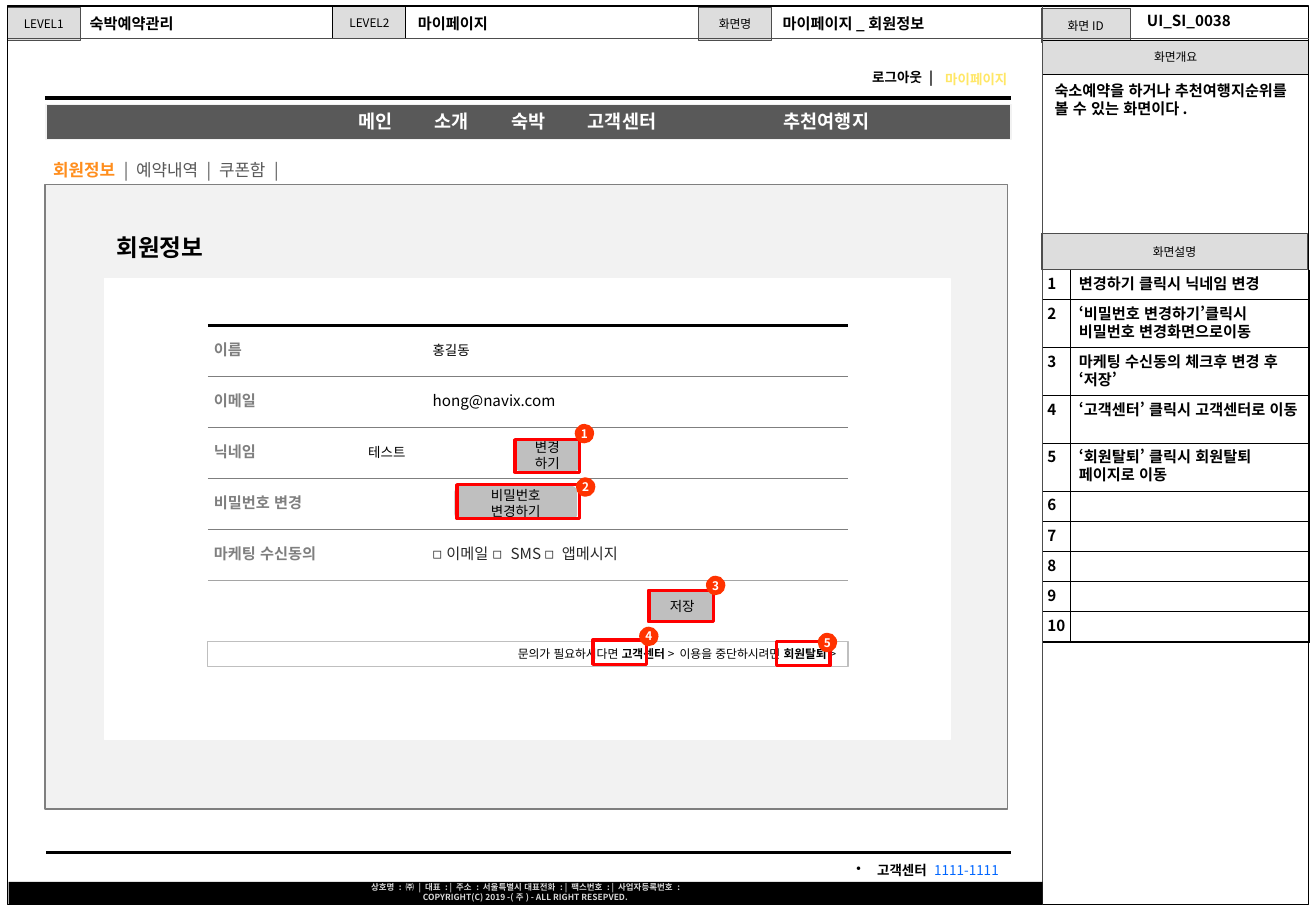
import pptx
import pptx.dml.color
import pptx.enum.lang
import pptx.enum.shapes
import pptx.enum.text
import pptx.oxml
import pptx.oxml.ns
import pptx.util
from lxml import etree

Inches, Pt = pptx.util.Inches, pptx.util.Pt
RGB = pptx.dml.color.RGBColor
KIND = pptx.enum.shapes.MSO_SHAPE
ALIGN = pptx.enum.text.PP_ALIGN
ANCHOR = pptx.enum.text.MSO_ANCHOR
qn = pptx.oxml.ns.qn

FONT = "Noto Sans CJK KR"
LINE_HEIGHT = 1.18
BLACK, WHITE = RGB(0, 0, 0), RGB(255, 255, 255)
LABEL_GRAY, FRAME_GRAY = RGB(0xDD, 0xDD, 0xDD), RGB(0x4D, 0x4D, 0x4D)
MENU_GRAY, PANEL_GRAY = RGB(0x59, 0x59, 0x59), RGB(0xF2, 0xF2, 0xF2)
MID_GRAY, BUTTON_GRAY = RGB(0x7F, 0x7F, 0x7F), RGB(0xBF, 0xBF, 0xBF)
PALE_GRAY, FOOTER_GRAY = RGB(0xA5, 0xA5, 0xA5), RGB(0xD8, 0xD8, 0xD8)
CHECK_GRAY, YELLOW = RGB(0x29, 0x29, 0x29), RGB(0xFF, 0xE7, 0x66)
ORANGE, BLUE = RGB(0xFF, 0x8E, 0x1D), RGB(0, 0x66, 0xFF)
RED, MARKER = RGB(255, 0, 0), RGB(0xFF, 0x33, 0)

# Content: a run is (text, size, colour, bold); a box is (left, top, width, height)
SCREEN_NAME = ("마이페이지_회원정보", (6.34, 0.07, 1.52, 0.25))
FIELD_LABELS = [
    ("LEVEL1", (0.06, 0.06, 0.6, 0.27), FRAME_GRAY),
    ("LEVEL2", (2.74, 0.05, 0.6, 0.27), BLACK),
    ("화면명", (5.75, 0.06, 0.6, 0.27), FRAME_GRAY),
    ("화면ID", (8.57, 0.07, 0.73, 0.28), FRAME_GRAY),
    ("화면개요", (8.58, 0.33, 2.19, 0.28), BLACK),
    ("화면설명", (8.57, 1.92, 2.19, 0.3), FRAME_GRAY),
]
FIELD_VALUES = [
    ("숙박예약관리", (0.64, 0.07, 1.31, 0.25)),
    ("마이페이지", (3.34, 0.07, 1.67, 0.25)),
    ("UI_SI_0038", (9.34, 0.05, 1.31, 0.25)),
    ("숙소예약을 하거나 추천여행지순위를 볼 수 있는 화면이다.", (8.58, 0.62, 2.2, 0.56)),
]
RULES = [  # start, end, colour, width
    ((8.58, 0.05), (8.58, 7.45), FRAME_GRAY, 0.75),
    ((0.07, 0.32), (10.77, 0.32), FRAME_GRAY, 0.5),
    ((0.37, 0.81), (8.32, 0.81), BLACK, 2.25),
    ((0.38, 7.02), (8.32, 7.02), BLACK, 2),
]
MENU = ["메인", "소개", "숙박", "고객센터"]
MENU_START, MENU_STEP = 2.47, 0.63
COPYRIGHT = [
    "상호명 : ㈜ | 대표 : | 주소 : 서울특별시 대표전화 : | 팩스번호 : | 사업자등록번호 :",
    "COPYRIGHT(C) 2019 -(주) - ALL RIGHT RESEPVED.",
]
SUBMENU = [("회원정보", 10, ORANGE, True),
           (" | 예약내역 | 쿠폰함 |", 10, MENU_GRAY, False)]
HELP = [("문의가 필요하시다면 ", 7, BLACK, False), ("고객센터", 7, BLACK, True),
        ("> 이용을 중단하시려면 ", 7, BLACK, False),
        ("회원탈퇴", 7, BLACK, True), (">", 7, BLACK, False)]
MEMBER_ROWS = [
    ("이름", ("홍길동", 8, BLACK, False)),
    ("이메일", ("hong@navix.com", 9, BLACK, False)),
    ("닉네임", ("\t테스트", 8, BLACK, False)),
    ("비밀번호 변경", None),
    ("마케팅 수신동의", ("◻ 이메일 ◻ SMS ◻ 앱메시지", 9, CHECK_GRAY, False)),
]
NICKNAME_ROW, NICKNAME_TAB = 2, 1.27
BUTTONS = [
    ("변경하기", (4.24, 3.62, 0.53, 0.26)),
    ("비밀번호 변경하기", (3.74, 4, 1.01, 0.28)),
    ("저장", (5.35, 4.86, 0.53, 0.26)),
]
CALLOUTS = [  # red frame, marker position
    ((4.24, 3.62, 0.53, 0.27), (4.73, 3.49)),
    ((3.76, 3.99, 1.01, 0.28), (4.74, 3.93)),
    ((5.34, 4.86, 0.53, 0.26), (5.81, 4.74)),
    ((4.88, 5.27, 0.44, 0.2), (5.26, 5.16)),
    ((6.39, 5.28, 0.44, 0.2), (6.73, 5.21)),
]
MARKER_SIZE = 0.16
DESCRIPTIONS = ["변경하기 클릭시 닉네임 변경", "‘비밀번호 변경하기’클릭시 비밀번호 변경화면으로이동",
                "마케팅 수신동의 체크후 변경 후 ‘저장’", "‘고객센터’ 클릭시 고객센터로 이동",
                "‘회원탈퇴’ 클릭시 회원탈퇴 페이지로 이동"] + [""] * 5
DESCRIPTION_HEIGHTS = [0.24] + [0.39] * 4 + [0.24] * 5

deck = pptx.Presentation()
deck.slide_width, deck.slide_height = Inches(10.83), Inches(7.5)
slide = deck.slides.add_slide(deck.slide_layouts[5])


def write(frame, paragraphs, align=ALIGN.LEFT):
    for index, runs in enumerate(paragraphs):
        line = frame.add_paragraph() if index else frame.paragraphs[0]
        line.alignment = align
        line.line_spacing = Pt(max(run[1] for run in runs) * LINE_HEIGHT)
        for text, size, color, bold in runs:
            run = line.add_run()
            run.text = text
            run.font.size, run.font.bold, run.font.name = Pt(size), bold, FONT
            run.font.color.rgb = color
            run.font.language_id = pptx.enum.lang.MSO_LANGUAGE_ID.KOREAN
            etree.SubElement(run.font._element, qn("a:ea"), typeface=FONT)


def set_tabs(line, stops):
    tabs = etree.SubElement(line._p.get_or_add_pPr(), qn("a:tabLst"))
    for stop in stops:
        etree.SubElement(tabs, qn("a:tab"), pos=str(Inches(stop)), algn="l")


def set_frame(frame, anchor, side=0.1, edge=0.05):
    frame.word_wrap, frame.vertical_anchor = True, anchor
    frame.auto_size = pptx.enum.text.MSO_AUTO_SIZE.NONE
    frame.margin_left = frame.margin_right = Inches(side)
    frame.margin_top = frame.margin_bottom = Inches(edge)


def add_text(box, runs, align=ALIGN.LEFT):
    frame = slide.shapes.add_textbox(*map(Inches, box)).text_frame
    set_frame(frame, ANCHOR.TOP)
    write(frame, [runs], align)
    return frame


def add_box(box, fill=None, line=None, width=0.75, paragraphs=(), kind=KIND.RECTANGLE,
            align=ALIGN.CENTER, anchor=ANCHOR.MIDDLE, side=0.1, edge=0.05):
    shape = slide.shapes.add_shape(kind, *map(Inches, box))
    shape.shadow.inherit = False
    for paint, color in ((shape.fill, fill), (shape.line.fill, line)):
        if color is None:
            paint.background()
        else:
            paint.solid()
            paint.fore_color.rgb = color
    if line is not None:
        shape.line.width = Pt(width)
    set_frame(shape.text_frame, anchor, side, edge)
    write(shape.text_frame, paragraphs, align)
    return shape.text_frame


def add_table(box, widths, heights):
    table = slide.shapes.add_table(len(heights), len(widths), *map(Inches, box)).table
    table.first_row = table.horz_banding = False
    for column, width in zip(table.columns, widths):
        column.width = Inches(width)
    for row, height in zip(table.rows, heights):
        row.height = Inches(height)
    return table


def format_cell(cell, runs, borders, anchor, side):
    cell.vertical_anchor = anchor
    cell.margin_left = cell.margin_right = Inches(side)
    cell.margin_top = cell.margin_bottom = Inches(0.05)
    if runs:
        write(cell.text_frame, [runs])
    else:
        etree.SubElement(cell.text_frame.paragraphs[0]._p, qn("a:endParaRPr"), sz="800")
    properties = cell._tc.get_or_add_tcPr()
    for edge in "LRTB":
        color, width = borders.get(edge, (None, 0))
        border = etree.SubElement(properties, qn("a:ln" + edge), w=str(Pt(width)))
        if color is None:
            etree.SubElement(border, qn("a:noFill"))
        else:
            paint = etree.SubElement(border, qn("a:solidFill"))
            etree.SubElement(paint, qn("a:srgbClr"), val=str(color))
    cell.fill.background()


# Frame, header and rules
screen_text, screen_box = SCREEN_NAME
title = slide.shapes.title
title.left, title.top, title.width, title.height = map(Inches, screen_box)
set_frame(title.text_frame, ANCHOR.TOP)
write(title.text_frame, [[(screen_text, 9, BLACK, True)]])
for text, box, line in FIELD_LABELS:
    add_box(box, LABEL_GRAY, line, 0.5, [[(text, 7, BLACK, False)]])
add_box((0.06, 0.05, 10.71, 7.4), line=BLACK)
for start, end, color, width in RULES:
    rule = slide.shapes.add_connector(pptx.enum.shapes.MSO_CONNECTOR.STRAIGHT,
                                      *map(Inches, start + end))
    rule.line.color.rgb, rule.line.width = color, Pt(width)
    etree.SubElement(rule._element.spPr, qn("a:effectLst"))
for text, box in FIELD_VALUES:
    add_text(box, [(text, 9, BLACK, True)])

# Site menu and footer
add_text((7.08, 0.52, 0.8, 0.24), [("로그아웃 |", 8, BLACK, True)])
add_text((7.68, 0.54, 0.81, 0.24), [("마이페이지", 8, YELLOW, True)])
menu = add_box((0.38, 0.86, 7.94, 0.29), MENU_GRAY, PANEL_GRAY, anchor=ANCHOR.TOP, align=ALIGN.LEFT,
               paragraphs=[[("\t" + "\t".join(MENU), 11, WHITE, True)]])
set_tabs(menu.paragraphs[0], [MENU_START + MENU_STEP * i for i in range(len(MENU))])
add_text((6.35, 0.86, 1.69, 0.29), [("추천여행지", 11, WHITE, True)])
contact = add_text((6.95, 7.05, 1.37, 0.24), [(" 고객센터 ", 8, BLACK, True),
                                             ("1111-1111", 8, BLUE, False)], ALIGN.RIGHT)
etree.SubElement(contact.paragraphs[0]._p.get_or_add_pPr(), qn("a:buChar"), char="•")
add_box((0.07, 7.26, 8.51, 0.19), BLACK, anchor=ANCHOR.TOP, edge=0,
        paragraphs=[[(text, 5, FOOTER_GRAY, True)] for text in COPYRIGHT])

# Member panel
add_text((0.34, 1.27, 3.5, 0.43), SUBMENU)
add_box((0.37, 1.52, 7.92, 5.14), PANEL_GRAY, MID_GRAY)
add_box((0.86, 2.29, 6.96, 3.8), WHITE, WHITE)
add_text((0.86, 1.87, 2.41, 0.34), [("회원정보", 14, BLACK, True)])
members = add_table((1.71, 2.68, 5.27, 2.09), (1.8, 3.47), [0.42] * len(MEMBER_ROWS))
members.cell(NICKNAME_ROW, 0).merge(members.cell(NICKNAME_ROW, 1))
for r, (label, value) in enumerate(MEMBER_ROWS):
    borders = {"T": (MID_GRAY, 0.75) if r else (BLACK, 2.25),
               "B": (MID_GRAY if r < len(MEMBER_ROWS) - 1 else PALE_GRAY, 0.75)}
    columns = [[(label, 9, MID_GRAY, True)], [value] if value else []]
    if r == NICKNAME_ROW:
        columns = [columns[0] + columns[1], []]
    for c, runs in enumerate(columns):
        format_cell(members.cell(r, c), runs, borders, ANCHOR.MIDDLE, 0.05)
set_tabs(members.cell(NICKNAME_ROW, 0).text_frame.paragraphs[0], [NICKNAME_TAB])
add_box((1.71, 5.28, 5.27, 0.21), line=BUTTON_GRAY, paragraphs=[HELP], align=ALIGN.RIGHT)

# Buttons and numbered callouts
for text, box in BUTTONS:
    add_box(box, BUTTON_GRAY, paragraphs=[[(text, 8, BLACK, False)]], kind=KIND.ROUNDED_RECTANGLE)
for number, (box, spot) in enumerate(CALLOUTS, 1):
    add_box(box, line=RED, width=2)
    add_box(spot + (MARKER_SIZE, MARKER_SIZE), MARKER, kind=KIND.OVAL, side=0, edge=0,
            paragraphs=[[(str(number), 7, WHITE, True)]])

# Screen description
notes = add_table((8.58, 2.22, 2.2, 3.04), (0.23, 1.97), DESCRIPTION_HEIGHTS)
for r, text in enumerate(DESCRIPTIONS):
    for c, (entry, side) in enumerate(((str(r + 1), 0.04), (text, 0.07))):
        edges = ("R" if c == 0 else "LR") + ("TB" if r else "B")
        format_cell(notes.cell(r, c), [(entry, 9, BLACK, True)] if entry else [],
                    {edge: (BLACK, 0.75) for edge in edges}, ANCHOR.TOP, side)

deck.save("out.pptx")
